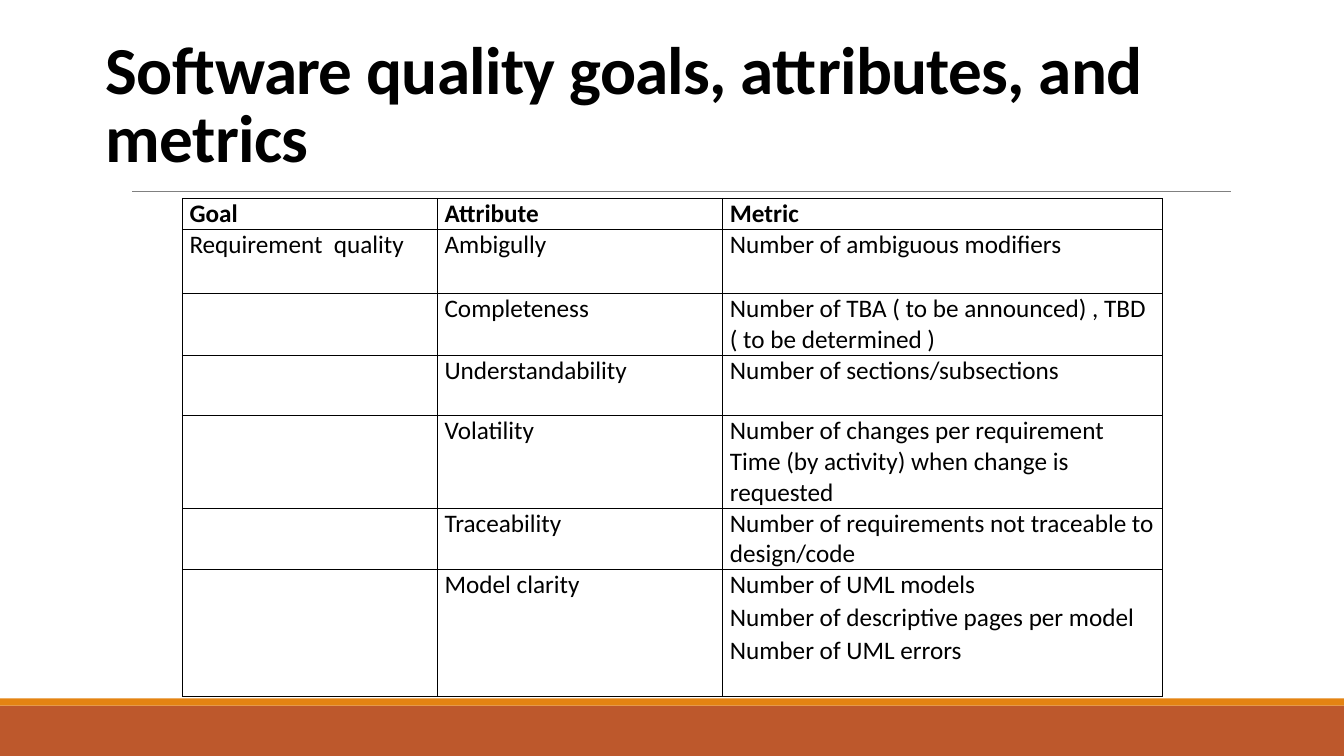
from lxml import etree
from pptx import Presentation
from pptx.dml.color import RGBColor
from pptx.enum import shapes, text
from pptx.oxml.ns import qn
from pptx.util import Inches, Pt

BLACK = RGBColor(0x00, 0x00, 0x00)
WHITE = RGBColor(0xFF, 0xFF, 0xFF)
GREY = RGBColor(0x80, 0x80, 0x80)
RUST = RGBColor(0xBD, 0x58, 0x2C)
ORANGE = RGBColor(0xE4, 0x83, 0x12)

COLUMN_WIDTHS = (2.53, 2.83, 4.36)
ROW_HEIGHTS = (0.3, 0.64, 0.6, 0.6, 0.9, 0.6, 1.26)
ROWS = (
    ("Goal", "Attribute", "Metric"),
    ("Requirement  quality", "Ambigully", "Number of ambiguous modifiers"),
    ("", "Completeness",
     "Number of TBA ( to be announced) , TBD ( to be determined )"),
    ("", "Understandability", "Number of sections/subsections"),
    ("", "Volatility",
     "Number of changes per requirement Time (by activity) when change is requested"),
    ("", "Traceability", "Number of requirements not traceable to design/code"),
    ("", "Model clarity",
     "Number of UML models\nNumber of descriptive pages per model\nNumber of UML errors"),
)


def write_text(frame, content, size=18, bold=False, before=0, after=0,
               line_spacing=None, character_spacing=None):
    """Fill a text frame, one paragraph per line; only later ones get space before."""
    frame.text = content
    for index, paragraph in enumerate(frame.paragraphs):
        paragraph.alignment = text.PP_ALIGN.LEFT
        paragraph.space_before = Pt(before if index else 0)
        paragraph.space_after = Pt(after)
        if line_spacing:
            paragraph.line_spacing = line_spacing
        paragraph.font.size = Pt(size)
        for run in paragraph.runs:
            run.font.name = "Calibri"
            run.font.size = Pt(size)
            run.font.bold = bold
            run.font.color.rgb = BLACK
            if character_spacing is not None:
                run.font._element.set("spc", str(round(character_spacing * 100)))


def add_band(slide, top, height, color):
    band = slide.shapes.add_shape(shapes.MSO_SHAPE.RECTANGLE, 0, Inches(top),
                                  Inches(13.33), Inches(height))
    band.shadow.inherit = False
    band.fill.solid()
    band.fill.fore_color.rgb = color
    band.line.fill.background()


def add_rule(slide, left, right, top):
    rule = slide.shapes.add_connector(shapes.MSO_CONNECTOR.STRAIGHT, Inches(left),
                                      Inches(top), Inches(right), Inches(top))
    rule.line.color.rgb = GREY
    rule.line.width = Pt(0.5)
    etree.SubElement(rule._element.spPr, qn("a:effectLst"))


def set_title(slide, content):
    title = slide.shapes.title
    title.left, title.top = Inches(0.95), Inches(0.8)
    title.width, title.height = Inches(11.94), Inches(1)
    frame = title.text_frame
    frame.word_wrap = True
    frame.auto_size = text.MSO_AUTO_SIZE.NONE
    frame.vertical_anchor = text.MSO_ANCHOR.BOTTOM
    write_text(frame, content, size=48, bold=True, line_spacing=0.85,
               character_spacing=-0.5)


def set_borders(cell, color, width):
    properties = cell._tc.get_or_add_tcPr()
    for index, side in enumerate(("lnL", "lnR", "lnT", "lnB")):
        border = etree.Element(qn(f"a:{side}"), w=str(Pt(width)))
        fill = etree.SubElement(border, qn("a:solidFill"))
        etree.SubElement(fill, qn("a:srgbClr"), val=str(color))
        properties.insert(index, border)


def add_metrics_table(slide):
    table = slide.shapes.add_table(
        len(ROWS), len(COLUMN_WIDTHS), Inches(1.81), Inches(1.97),
        Inches(sum(COLUMN_WIDTHS)), Inches(sum(ROW_HEIGHTS))).table
    table.horz_banding = False
    table.first_row = False
    for column, width in zip(table.columns, COLUMN_WIDTHS):
        column.width = Inches(width)
    for row_index, (row, height) in enumerate(zip(table.rows, ROW_HEIGHTS)):
        row.height = Inches(height)
        for cell, content in zip(row.cells, ROWS[row_index]):
            cell.margin_left = cell.margin_right = Inches(0.07)
            cell.margin_top = cell.margin_bottom = 0
            cell.fill.solid()
            cell.fill.fore_color.rgb = WHITE
            set_borders(cell, BLACK, 1)
            write_text(cell.text_frame, content, bold=row_index == 0,
                       before=1, after=0.5)


def main():
    presentation = Presentation()
    presentation.slide_width = Inches(13.33)
    presentation.slide_height = Inches(7.5)
    slide = presentation.slides.add_slide(presentation.slide_layouts[5])
    add_band(slide, 7, 0.5, RUST)
    add_band(slide, 6.93, 0.07, ORANGE)
    add_rule(slide, 1.31, 12.21, 1.9)
    set_title(slide, "Software quality goals, attributes, and metrics")
    add_metrics_table(slide)
    presentation.save("out.pptx")


if __name__ == "__main__":
    main()
